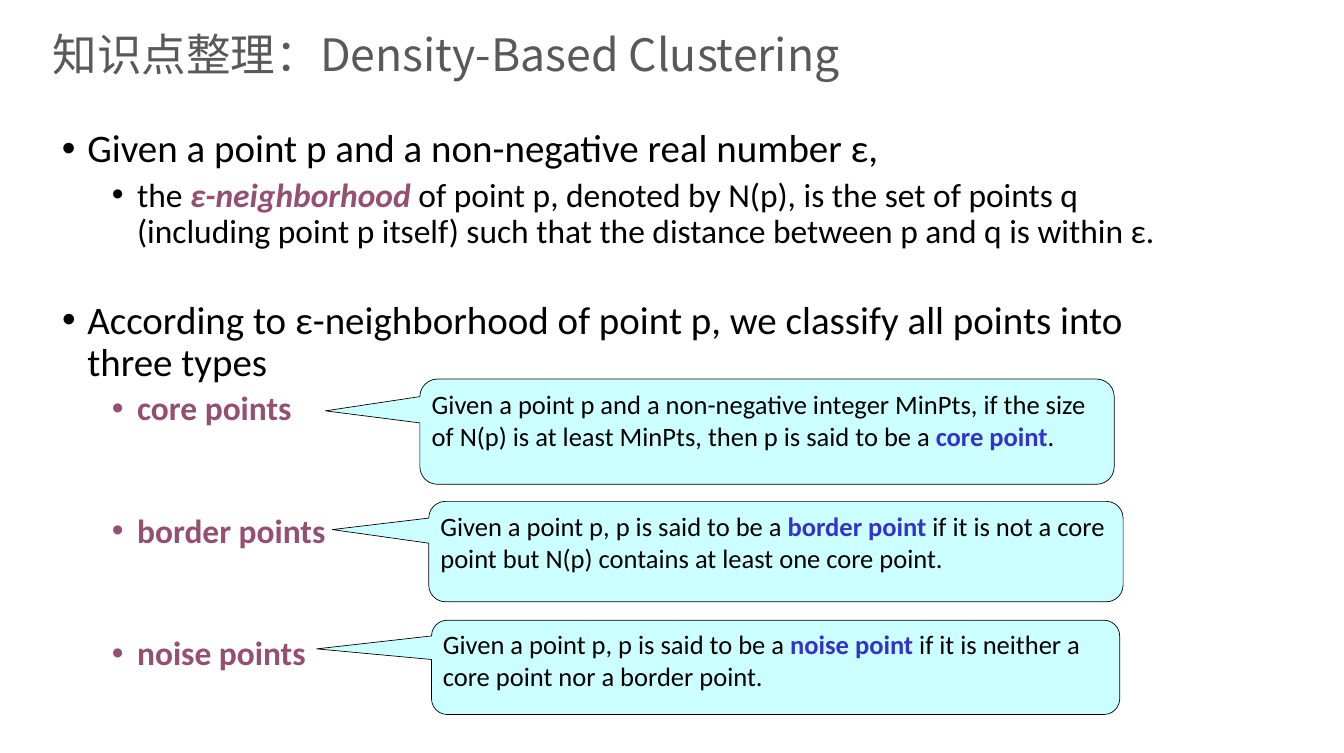
import pptx
import pptx.dml.color
import pptx.enum.shapes
import pptx.enum.text
import pptx.oxml.ns
import pptx.util
from lxml import etree

Inches = pptx.util.Inches
Pt = pptx.util.Pt

CM_PER_INCH = 2.54
SLIDE_SIZE = (50 / CM_PER_INCH, 28 / CM_PER_INCH)

BLACK, GRAY, PLUM, BLUE, CYAN = "000000", "595959", "954F72", "3333CC", "CCFFFF"
TITLE_FONT, BODY_FONT = "Noto Sans CJK SC", "Calibri"

TITLE = "知识点整理：Density-Based Clustering"
PLAIN, TERM, TYPE, KEY = (BLACK, False, False), (PLUM, True, True), (PLUM, True, False), (BLUE, True, False)

LEVELS = [(0.37, 41.1), (1.1, 35.3)]
HANGING = 0.37
TYPE_GAP = 91

BODIES = [
    ((0.81, 1.84, 16.87, 4.5), [
        (0, 0, [("Given a point p and a non-negative real number ε,", PLAIN)]),
        (1, 7.3, [
            ("the ", PLAIN),
            ("ε-neighborhood", TERM),
            (" of point p, denoted by N(p), is the set of points q (including point p itself) "
             "such that the distance between p and q is within ε.", PLAIN),
        ]),
    ]),
    ((0.81, 4.35, 16.18, 4.22), [
        (0, 0, [("According to ε-neighborhood of point p, we classify all points into three types", PLAIN)]),
        (1, 7.3, [("core points", TYPE)]),
        (1, TYPE_GAP, [("border points", TYPE)]),
        (1, TYPE_GAP, [("noise points", TYPE)]),
    ]),
]

CALLOUTS = [
    ((6.15, 5.55, 10.17, 1.54), (-0.636, -0.198), [
        ("Given a point p and a non-negative integer MinPts, if the size of N(p) is at least MinPts, "
         "then p is said to be a ", PLAIN),
        ("core point", KEY),
        (".", PLAIN),
    ]),
    ((6.28, 7.34, 10.17, 1.47), (-0.639, -0.219), [
        ("Given a point p, p is said to be a ", PLAIN),
        ("border point", KEY),
        (" if it is not a core point but N(p) contains at least one core point.", PLAIN),
    ]),
    ((6.32, 9.08, 10.08, 1.38), (-0.667, -0.196), [
        ("Given a point p, p is said to be a ", PLAIN),
        ("noise point", KEY),
        (" if it is neither a core point nor a border point.", PLAIN),
    ]),
]


def color(value):
    return pptx.dml.color.RGBColor.from_string(value)


def add_element(parent, tag, **attributes):
    return etree.SubElement(parent, pptx.oxml.ns.qn(tag), **attributes)


def add_bullet(paragraph, left, bullet_color):
    properties = paragraph._p.get_or_add_pPr()
    properties.set("marL", str(Inches(left)))
    properties.set("indent", str(-Inches(HANGING)))
    add_element(add_element(properties, "a:buClr"), "a:srgbClr", val=bullet_color)
    add_element(properties, "a:buFont", typeface="Arial")
    add_element(properties, "a:buChar", char="•")


def write_runs(paragraph, runs, size):
    paragraph.font.name = BODY_FONT
    paragraph.font.size = Pt(size)
    for text, (run_color, bold, italic) in runs:
        run = paragraph.add_run()
        run.text = text
        run.font.color.rgb = color(run_color)
        run.font.bold = bold
        run.font.italic = italic


def add_text_frame(slide, box):
    frame = slide.shapes.add_textbox(*map(Inches, box)).text_frame
    frame.word_wrap = True
    return frame


def add_title(slide):
    frame = add_text_frame(slide, (0.57, 0.29, 13.43, 0.99))
    frame.margin_left = frame.margin_right = Inches(0.2)
    frame.margin_top = frame.margin_bottom = Inches(0.1)
    frame.vertical_anchor = pptx.enum.text.MSO_ANCHOR.MIDDLE
    paragraph = frame.paragraphs[0]
    paragraph.text = TITLE
    paragraph.font.size = Pt(47)
    paragraph.font.color.rgb = color(GRAY)
    paragraph.font.name = TITLE_FONT
    add_element(paragraph.font._element, "a:ea", typeface=TITLE_FONT)


def add_body(slide, box, items):
    frame = add_text_frame(slide, box)
    for index, (level, space_before, runs) in enumerate(items):
        paragraph = frame.add_paragraph() if index else frame.paragraphs[0]
        left, size = LEVELS[level]
        paragraph.level = level
        add_bullet(paragraph, left, runs[0][1][0])
        paragraph.line_spacing = 0.9
        paragraph.space_before = Pt(space_before)
        write_runs(paragraph, runs, size)


def add_callout(slide, box, pointer, runs):
    kind = pptx.enum.shapes.MSO_SHAPE.ROUNDED_RECTANGULAR_CALLOUT
    shape = slide.shapes.add_shape(kind, *map(Inches, box))
    shape.adjustments[0], shape.adjustments[1] = pointer
    shape.shadow.inherit = False
    shape.fill.solid()
    shape.fill.fore_color.rgb = color(CYAN)
    shape.line.color.rgb = color(BLACK)
    shape.line.width = Pt(0.75)
    frame = shape.text_frame
    frame.word_wrap = True
    frame.vertical_anchor = pptx.enum.text.MSO_ANCHOR.TOP
    paragraph = frame.paragraphs[0]
    paragraph.alignment = pptx.enum.text.PP_ALIGN.LEFT
    write_runs(paragraph, runs, 28)


def main():
    presentation = pptx.Presentation()
    presentation.slide_width, presentation.slide_height = map(Inches, SLIDE_SIZE)
    slide = presentation.slides.add_slide(presentation.slide_layouts[6])
    add_title(slide)
    for box, items in BODIES:
        add_body(slide, box, items)
    for box, pointer, runs in CALLOUTS:
        add_callout(slide, box, pointer, runs)
    presentation.save("out.pptx")


if __name__ == "__main__":
    main()
